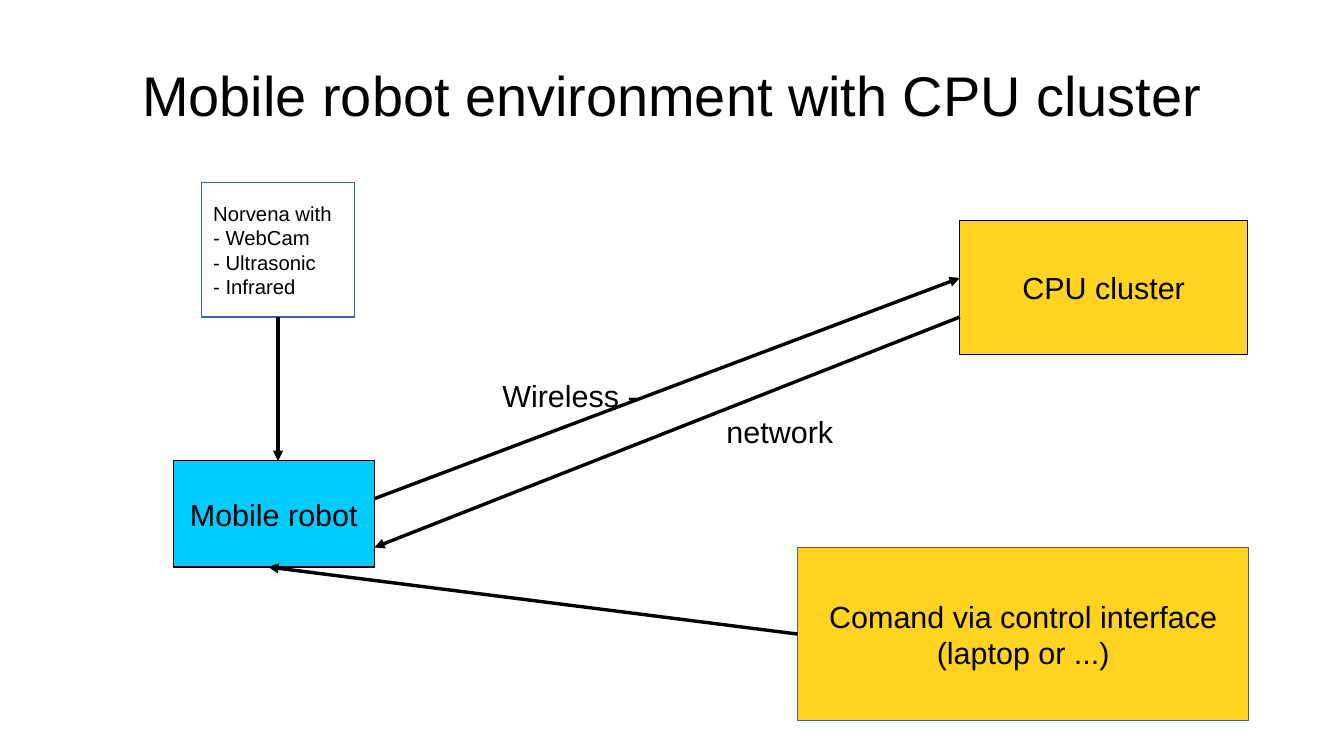
from pptx import Presentation
from pptx.dml.color import RGBColor
from pptx.enum.shapes import MSO_CONNECTOR as Connector, MSO_SHAPE as Shape
from pptx.enum.text import MSO_ANCHOR as Anchor, MSO_AUTO_SIZE as AutoSize, PP_ALIGN as Align
from pptx.oxml.ns import qn
from pptx.util import Inches, Pt
from lxml.etree import SubElement

BLACK = RGBColor(0x00, 0x00, 0x00)
WHITE = RGBColor(0xFF, 0xFF, 0xFF)
CYAN = RGBColor(0x00, 0xCC, 0xFF)
YELLOW = RGBColor(0xFF, 0xD3, 0x20)
BLUE = RGBColor(0x34, 0x65, 0xA4)


class DiagramSlide:
    """Holds the style and the current slide."""
    font = "Arial"
    hairline = Pt(0)
    frame_format = {"word_wrap": True, "auto_size": AutoSize.NONE}
    insets = {"margin_left": 0.1, "margin_right": 0.1,
              "margin_top": 0.05, "margin_bottom": 0.05}

    def __init__(self, presentation):
        title_only = presentation.slide_layouts[5]
        self.slide = presentation.slides.add_slide(title_only)

    def set_text(self, shape, lines, size, aligns, anchor, inset_scale=1):
        frame = shape.text_frame
        frame.text = "\n".join(lines)
        values = dict(self.frame_format, vertical_anchor=anchor)
        values.update({side: Inches(inset * inset_scale)
                       for side, inset in self.insets.items()})
        for name, value in values.items():
            setattr(frame, name, value)
        for paragraph, align in zip(frame.paragraphs, aligns):
            paragraph.alignment = align
            font = paragraph.runs[0].font
            for name, value in {"name": self.font, "size": Pt(size)}.items():
                setattr(font, name, value)
            font.color.rgb = BLACK

    def title(self, text, left, top, width, height):
        shape = self.slide.shapes.title
        for name, value in {"left": left, "top": top,
                            "width": width, "height": height}.items():
            setattr(shape, name, Inches(value))
        self.set_text(shape, [text], 33, [Align.CENTER], Anchor.MIDDLE, inset_scale=0)

    def box(self, lines, place, fill, line=BLACK, size=18, align=Align.CENTER):
        shape = self.slide.shapes.add_shape(Shape.RECTANGLE, *map(Inches, place))
        shape.shadow.inherit = False
        shape.fill.solid()
        shape.fill.fore_color.rgb = fill
        shape.line.color.rgb = line
        shape.line.width = self.hairline
        self.set_text(shape, lines, size, [align] * len(lines), Anchor.MIDDLE)

    def label(self, lines, place, aligns):
        shape = self.slide.shapes.add_textbox(*map(Inches, place))
        self.set_text(shape, lines, 18, aligns, Anchor.TOP)

    def arrow(self, start, end):
        connector = self.slide.shapes.add_connector(
            Connector.STRAIGHT, *map(Inches, start + end))
        connector.line.color.rgb = BLACK
        connector.line.width = self.hairline
        outline = connector._element.spPr.find(qn("a:ln"))
        SubElement(outline, qn("a:tailEnd"), type="triangle")
        SubElement(connector._element.spPr, qn("a:effectLst"))


def main():
    presentation = Presentation()
    presentation.slide_width = Inches(11.02)
    presentation.slide_height = Inches(6.2)
    diagram = DiagramSlide(presentation)

    diagram.title("Mobile robot environment with CPU cluster", 0.55, 0.25, 9.92, 1.04)

    # Robot and cluster, linked both ways
    diagram.box(["Mobile robot"], (1.42, 3.78, 1.65, 0.87), CYAN)
    diagram.box(["CPU cluster"], (7.87, 1.81, 2.36, 1.1), YELLOW)
    diagram.arrow((3.07, 4.09), (7.87, 2.28))
    diagram.arrow((7.87, 2.6), (3.07, 4.49))
    diagram.label(["Wireless -", "network"], (4.02, 3.04, 2.91, 0.66),
                  [Align.LEFT, Align.RIGHT])

    # Sensor board
    diagram.box(["Norvena with", "- WebCam", "- Ultrasonic", "- Infrared"],
                (1.65, 1.5, 1.26, 1.1), WHITE, BLUE, size=12, align=Align.LEFT)
    diagram.arrow((2.28, 2.6), (2.28, 3.78))

    # Control interface
    diagram.box(["Comand via control interface", "(laptop or ...)"],
                (6.54, 4.49, 3.7, 1.42), YELLOW, BLUE)
    diagram.arrow((6.54, 5.2), (2.2, 4.65))

    presentation.save("out.pptx")


if __name__ == "__main__":
    main()
